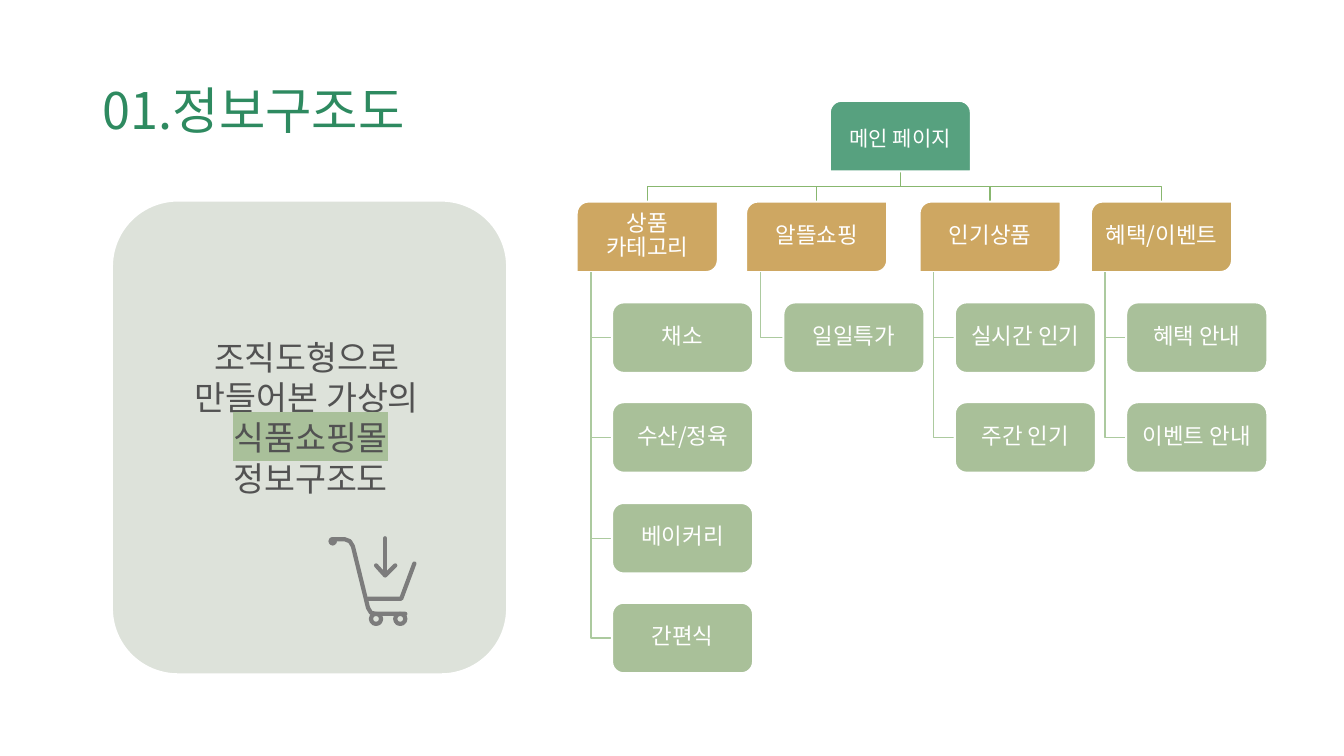
from lxml import etree
from pptx import Presentation
from pptx.dml.color import RGBColor
from pptx.enum.shapes import MSO_SHAPE
from pptx.enum.text import MSO_ANCHOR, PP_ALIGN
from pptx.oxml.ns import qn
from pptx.util import Pt

ROUND = MSO_SHAPE.ROUNDED_RECTANGLE
TOP = MSO_SHAPE.ROUND_2_SAME_RECTANGLE
DIAG = MSO_SHAPE.ROUND_2_DIAG_RECTANGLE
OVAL = MSO_SHAPE.OVAL
MIDDLE = MSO_ANCHOR.MIDDLE
LEFT, CENTER = PP_ALIGN.LEFT, PP_ALIGN.CENTER

PX = 9144
FONT = "Noto Sans CJK KR"
WHITE, GREEN, SAGE, PANEL, GRAY = "FFFFFF", "2E8A60", "A9C09A", "DDE2DA", "7C7C7C"
WIDE, HIGH = 140, 70

TITLE = "01.정보구조도"
INTRO = ["조직도형으로 ", "만들어본 가상의 ", "식품쇼핑몰", "정보구조도"]
MARKED = "식품쇼핑몰"
ROOT = "메인 페이지"
GOLD, LEAF = ("BA8320", 70), ("548235", 50)
MENU = [
    ("상품 카테고리", 572, GOLD, LEAF, ["채소", "수산/정육", "베이커리", "간편식"]),
    ("알뜰쇼핑", 740, GOLD, LEAF, ["일일특가"]),
    ("인기상품", 912, GOLD, LEAF, ["실시간 인기", "주간 인기"]),
    ("혜택/이벤트", 1082, ("B4821E", 70), (SAGE, 100), ["혜택 안내", "이벤트 안내"]),
]
CART = [
    [(382, 534), (382, 570)],
    [(373, 561), (382, 571), (392, 561)],
    [(330, 535), (342, 535), (347, 537), (350, 542), (365, 603),
     (368, 608), (373, 609), (402, 609)],
    [(365, 594), (398, 594), (411, 559)],
]
WHEELS = [368, 392]

deck = Presentation()
deck.slide_width, deck.slide_height = 1333 * PX, 750 * PX
slide = deck.slides.add_slide(deck.slide_layouts[5])


def paint(code):
    return RGBColor.from_string(code)


def write(shape, lines, size, color=WHITE, align=CENTER, pads=(4, 4, 4, 4),
          gap=None, mark=None):
    frame = shape.text_frame
    frame.word_wrap = True
    frame.vertical_anchor = MIDDLE
    (frame.margin_left, frame.margin_top,
     frame.margin_right, frame.margin_bottom) = [n * PX for n in pads]
    frame.text = "\n".join(lines)
    for para in frame.paragraphs:
        para.alignment = align
        if gap:
            para.line_spacing = gap
        for run in para.runs:
            run.font.size = Pt(size)
            run.font.color.rgb = paint(color)
            run.font.name = FONT
            latin = run.font._element.find(qn("a:latin"))
            east = etree.Element(qn("a:ea"), typeface=FONT)
            latin.addnext(east)
            if run.text == mark:
                light = etree.Element(qn("a:highlight"))
                etree.SubElement(light, qn("a:srgbClr"), val=SAGE)
                latin.addprevious(light)


def block(kind, x, y, w, h, fill, alpha=100, line=WHITE, weight=1.5):
    shape = slide.shapes.add_shape(kind, x * PX, y * PX, w * PX, h * PX)
    shape.shadow.inherit = False
    shape.fill.solid()
    shape.fill.fore_color.rgb = paint(fill)
    if alpha < 100:
        tint = shape.fill._xPr.find(qn("a:solidFill"))[0]
        etree.SubElement(tint, qn("a:alpha"), val=str(alpha * 1000))
    shape.line.color.rgb = paint(line)
    shape.line.width = Pt(weight)
    return shape


def trace(points, color, weight=1, cap="flat"):
    pen = slide.shapes.build_freeform(*points[0], scale=PX)
    pen.add_line_segments(points[1:], close=False)
    shape = pen.convert_to_shape()
    shape.shadow.inherit = False
    shape.fill.background()
    shape.line.color.rgb = paint(color)
    shape.line.width = Pt(weight)
    edge = shape.line._get_or_add_ln()
    edge.set("cap", cap)
    if cap == "rnd":
        etree.SubElement(edge, qn("a:round"))


def node(kind, x, y, text, fill, size=16, pads=(4, 3, 4, 4)):
    write(block(kind, x, y, WIDE, HIGH, *fill), [text], size, pads=pads, gap=0.9)


title = slide.shapes.title
title.left, title.top, title.width, title.height = [n * PX for n in (92, 40, 1150, 145)]
write(title, [TITLE], 36, GREEN, LEFT, (10, 5, 10, 5), 0.9)

hub = 823 + WIDE // 2
for name, x, gold, leaf, items in MENU:
    mid = x + WIDE // 2
    trace([(hub, 171), (hub, 185), (mid, 185), (mid, 200)], "88B76F")

node(TOP, 823, 100, ROOT, (GREEN, 80), 15, (4, 7, 4, 4))
for col, (name, x, gold, leaf, items) in enumerate(MENU):
    left = 607 + 170 * col
    node(DIAG, x, 200, name, gold)
    for row, item in enumerate(items):
        top = 300 + row * 199 // 2
        mid = top + HIGH // 2
        trace([(x + 14, 270), (x + 14, mid), (left, mid)], "ACCA9F")
        node(ROUND, left, top, item, leaf)

panel = block(ROUND, 111, 199, 392, 470, PANEL)
write(panel, INTRO, 24, "525252", pads=(12, 5, 10, 45), mark=MARKED)

for stroke in CART:
    trace(stroke, GRAY, 3, "rnd")
block(OVAL, 326, 533, 8, 8, GRAY, line=GRAY, weight=0.25)
for x in WHEELS:
    block(OVAL, x, 609, 10, 10, PANEL, line=GRAY, weight=3)

deck.save("out.pptx")
